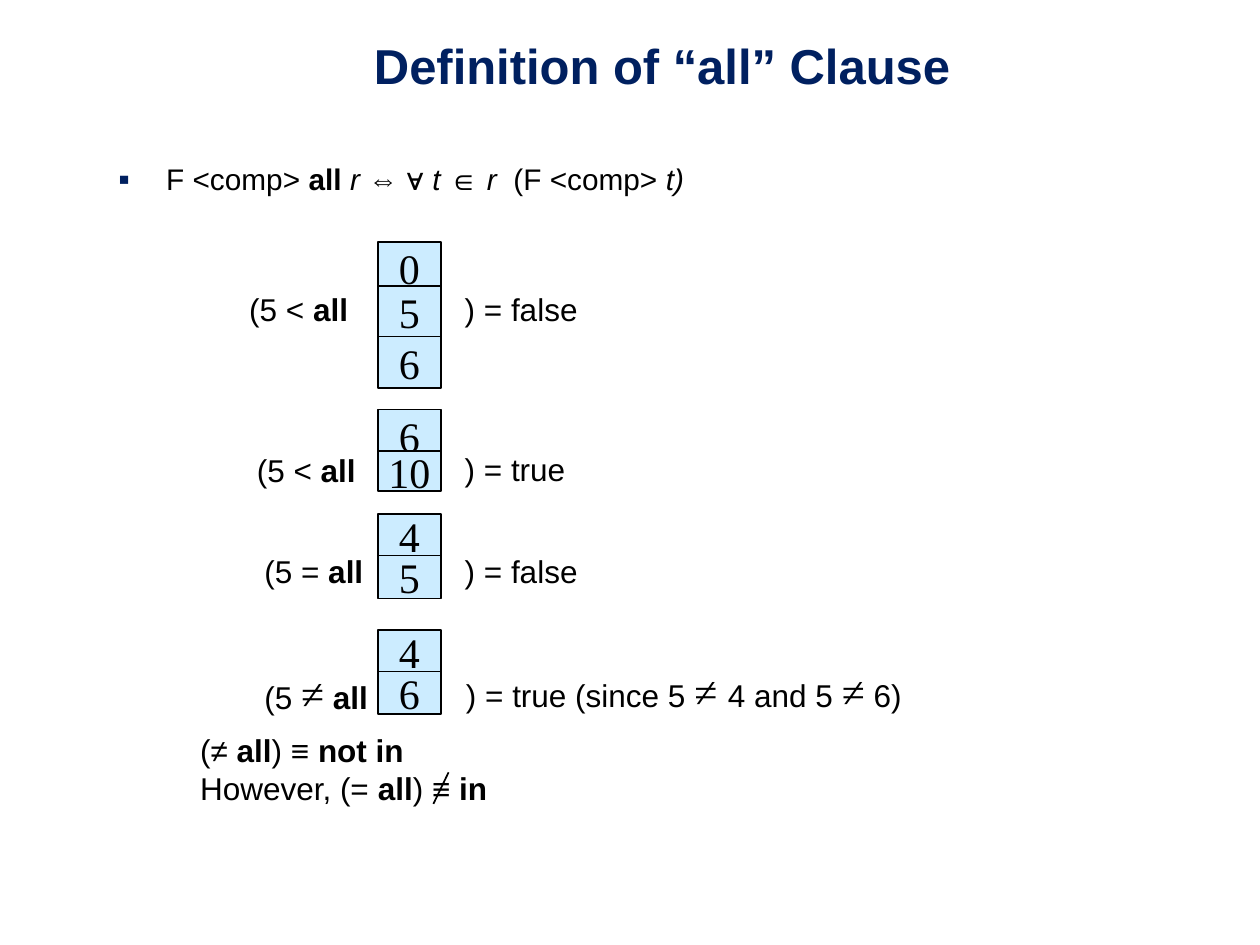
from lxml import etree
from pptx import Presentation
from pptx import util as u
from pptx.dml.color import RGBColor
from pptx.enum import shapes, text
from pptx.oxml.ns import qn

PX = 9144
COLORS = {"title": "002060", "ink": "000000", "cell": "CCECFF"}


def px(*lengths):
    """Turn lengths in px (100 to the inch) into EMU."""
    return [u.Emu(length * PX) for length in lengths]


def color(name):
    """Look up a named colour."""
    return RGBColor.from_string(COLORS[name])


def set_font(font, size, face="Arial", ink="ink"):
    """Set the size, face and colour of a font."""
    font.size, font.name = u.Pt(size), face
    font.color.rgb = color(ink)


def write(paragraph, runs, size=18, ink="ink"):
    """Write (words, style) runs: b is bold, i italic, s a large serif symbol."""
    set_font(paragraph.font, size, ink=ink)
    for words, style in runs:
        run = paragraph.add_run()
        run.text = words
        if style == "s":
            set_font(run.font, 24, "Times New Roman")
        else:
            set_font(run.font, size, ink=ink)
            run.font.bold = style == "b"
            run.font.italic = style == "i"


def add_frame(slide, box):
    """Add a wrapping text box and return its frame."""
    frame = slide.shapes.add_textbox(*px(*box)).text_frame
    frame.word_wrap = True
    return frame


def add_title(slide, box):
    """Add the centred slide title."""
    frame = add_frame(slide, box)
    frame.vertical_anchor = text.MSO_ANCHOR.BOTTOM
    title = frame.paragraphs[0]
    title.alignment = text.PP_ALIGN.CENTER
    write(title, [("Definition of “all” Clause", "b")], 28, "title")


def add_definition(slide, box):
    """Add the bulleted formal definition."""
    definition = add_frame(slide, box).paragraphs[0]
    props = definition._p.get_or_add_pPr()
    indent = px(38)[0]
    props.set("marL", str(indent))
    props.set("indent", str(-indent))
    tint = etree.SubElement(props, qn("a:buClr"))
    etree.SubElement(tint, qn("a:srgbClr"), val=COLORS["title"])
    etree.SubElement(props, qn("a:buSzPct"), val="110000")
    etree.SubElement(props, qn("a:buFont"), typeface="Arial")
    etree.SubElement(props, qn("a:buChar"), char="▪")
    write(definition, [
        ("F <comp> ", ""), ("all ", "b"), ("r ", "i"), ("⇔ ∀ ", ""),
        ("t ", "i"), ("∈", ""), (" r ", "i"), (" (F <comp> ", ""), ("t)", "i"),
    ], 17)


def add_cell(slide, box, value):
    """Add one bordered cell of a relation."""
    cell = slide.shapes.add_shape(shapes.MSO_SHAPE.RECTANGLE, *px(*box))
    cell.shadow.inherit = False
    cell.fill.solid()
    cell.fill.fore_color.rgb = color("cell")
    cell.line.color.rgb = color("ink")
    cell.line.width = u.Pt(1)
    frame = cell.text_frame
    frame.word_wrap = False
    frame.vertical_anchor = text.MSO_ANCHOR.MIDDLE
    number = frame.paragraphs[0]
    number.text = value
    number.alignment = text.PP_ALIGN.CENTER
    set_font(number.font, 24, "Times New Roman")


def add_comparison(slide, box, cells, test, outcome):
    """Add a column of cells with the test on its left and outcome on its right."""
    left, top, width = box
    for value, offset, height in cells:
        add_cell(slide, (left, top + offset, width, height), value)
    for (dx, dy, span, height), runs in (test, outcome):
        frame = add_frame(slide, (left + dx, top + dy, span, height))
        write(frame.paragraphs[0], runs)


def add_conclusion(slide, box):
    """Add the closing equivalences, the last one struck through."""
    left, top = box[:2]
    frame = add_frame(slide, box)
    write(frame.paragraphs[0],
          [("(≠ ", ""), ("all", "b"), (") ≡ ", ""), ("not in", "b")])
    write(frame.add_paragraph(),
          [("However, (= ", ""), ("all", "b"), (") ≡ ", ""), ("in", "b")])
    strike = slide.shapes.add_connector(
        shapes.MSO_CONNECTOR.STRAIGHT,
        *px(left + 207, top + 38, left + 195, top + 63))
    strike.line.color.rgb = color("ink")
    strike.line.width = u.Pt(1)
    etree.SubElement(strike._element.spPr, qn("a:effectLst"))


def main():
    """Build and save the slide."""
    deck = Presentation()
    deck.slide_width, deck.slide_height = px(1000, 750)
    slide = deck.slides.add_slide(deck.slide_layouts[6])
    add_title(slide, (84, 13, 883, 67))
    add_definition(slide, (84, 123, 732, 42))
    less, equal = [("(5 < ", ""), ("all", "b")], [("(5 = ", ""), ("all", "b")]
    unequal = [("(5 ", ""), ("≠", "s"), (" ", ""), ("all", "b")]
    false, true = [(") = false", "")], [(") = true", "")]
    reason = [(") = true (since 5 ", ""), ("≠ ", "s"), ("4 and 5 ", ""),
              ("≠", "s"), (" 6)", "")]
    comparisons = [
        (192, [("0", 0, 41), ("5", 35, 41), ("6", 75, 41)],
         ((-112, 33, 133, 40), less), ((59, 33, 133, 40), false)),
        (325, [("6", 0, 42), ("10", 33, 32)],
         ((-106, 28, 133, 40), less), ((59, 27, 133, 40), true)),
        (408, [("4", 0, 34), ("5", 33, 34)],
         ((-100, 25, 133, 40), equal), ((59, 25, 133, 40), false)),
        (500, [("4", 0, 34), ("6", 33, 34)],
         ((-100, 25, 183, 50), unequal), ((60, 23, 500, 50), reason)),
    ]
    for top, cells, test, outcome in comparisons:
        add_comparison(slide, (300, top, 50), cells, test, outcome)
    add_conclusion(slide, (149, 575, 744, 78))
    deck.save("out.pptx")


if __name__ == "__main__":
    main()
